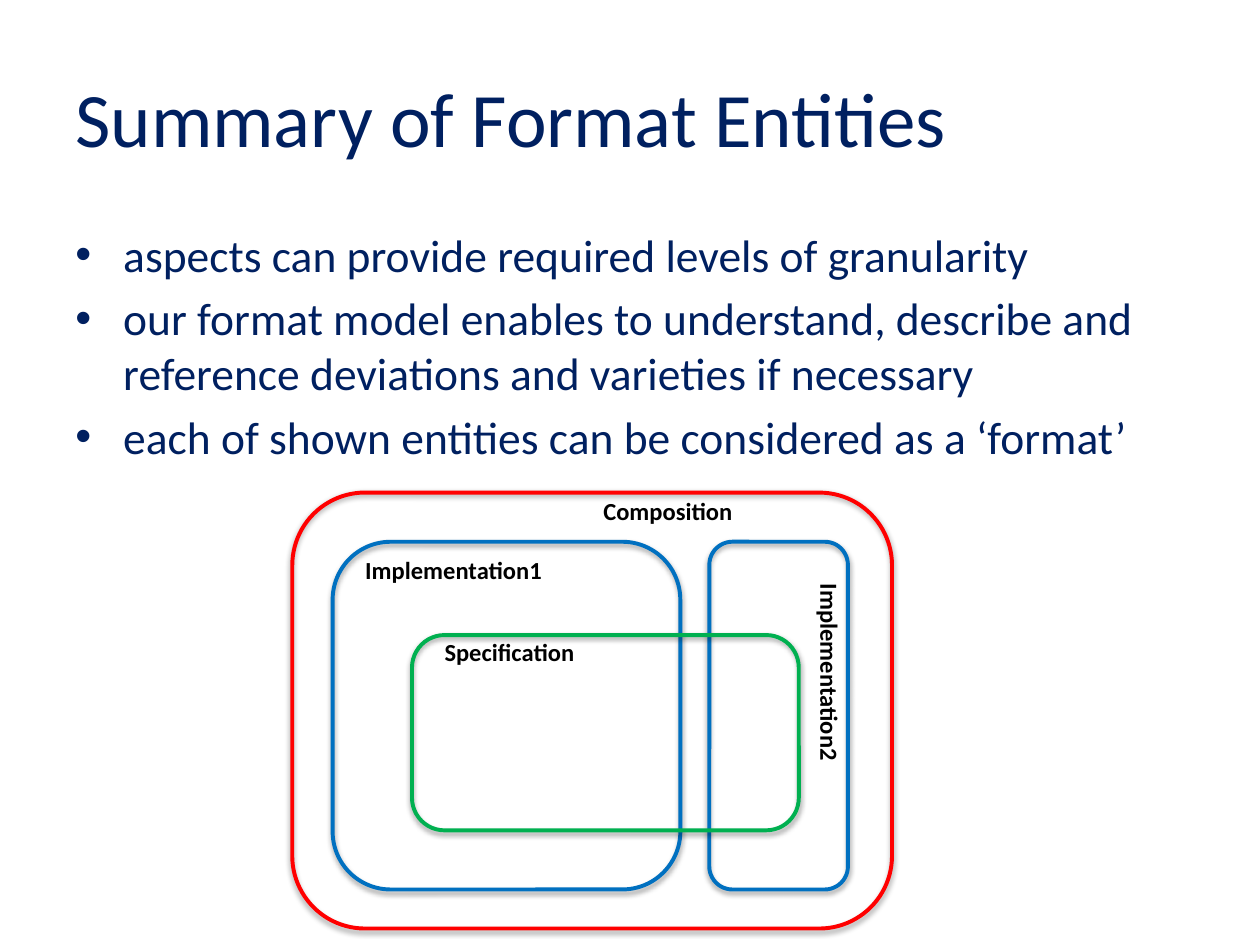
from lxml import etree
from pptx import Presentation
from pptx.dml.color import RGBColor
from pptx.enum.shapes import MSO_SHAPE
from pptx.enum.text import MSO_ANCHOR, MSO_AUTO_SIZE
from pptx.oxml.ns import qn
from pptx.util import Inches, Pt

ROUNDED = MSO_SHAPE.ROUNDED_RECTANGLE
TOP, MIDDLE = MSO_ANCHOR.TOP, MSO_ANCHOR.MIDDLE
GROW, FIXED = MSO_AUTO_SIZE.SHAPE_TO_FIT_TEXT, MSO_AUTO_SIZE.NONE

NAVY = RGBColor(0x00, 0x20, 0x60)
RED = RGBColor(0xFF, 0x00, 0x00)
BLUE = RGBColor(0x00, 0x70, 0xC0)
GREEN = RGBColor(0x00, 0xB0, 0x50)
BLACK = RGBColor(0x00, 0x00, 0x00)

FONT = "Calibri"
BULLET_SIZE = 26
BULLET_INDENT = Inches(0.38)

TITLE = "Summary of Format Entities"
BULLETS = [
    "aspects can provide required levels of granularity",
    "our format model enables to understand, describe and reference "
    "deviations and varieties if necessary",
    "each of shown entities can be considered as a ‘format’",
]

# Left, top, width and height are relative to the diagram's box.
ENTITY_FRAMES = [
    (0, 0, 4.76, 3.46, RED),
    (3.31, 0.39, 1.1, 2.76, BLUE),
    (0.32, 0.39, 2.76, 2.76, BLUE),
    (0.95, 1.13, 3.07, 1.55, GREEN),
]
# Left, top, width and rotation, relative to the same box.
ENTITY_LABELS = [
    ("Specification", 1.11, 1.1, 1.26, 0),
    ("Implementation1", 0.48, 0.45, 1.65, 0),
    ("Implementation2", 3.36, 1.36, 1.81, 90),
    ("Composition", 2.37, -0.02, 1.26, 0),
]


def add_text(page, lines, left, top, width, height, *, size, color,
             bold=False, anchor=TOP, fit=FIXED):
    box = page.shapes.add_textbox(left, top, width, height)
    frame = box.text_frame
    frame.word_wrap = True
    frame.auto_size = fit
    frame.vertical_anchor = anchor
    for index, line in enumerate(lines):
        para = frame.add_paragraph() if index else frame.paragraphs[0]
        span = para.add_run()
        span.text = line
        span.font.name = FONT
        span.font.size = Pt(size)
        span.font.bold = bold
        span.font.color.rgb = color
    return box


def add_bullet(para):
    para.space_before = Pt(BULLET_SIZE * 0.2)
    properties = para._p.get_or_add_pPr()
    properties.set("marL", str(BULLET_INDENT))
    properties.set("indent", str(-BULLET_INDENT))
    etree.SubElement(properties, qn("a:buFont"), typeface="Arial")
    etree.SubElement(properties, qn("a:buChar"), char="•")


def add_soft_shadow(shape):
    shape.shadow.inherit = False
    effects = shape._element.spPr.find(qn("a:effectLst"))
    shadow = etree.SubElement(
        effects, qn("a:outerShdw"), blurRad=str(Pt(3.1)), dist=str(Pt(1.6)),
        dir="5400000", rotWithShape="0")
    color = etree.SubElement(shadow, qn("a:srgbClr"), val=str(BLACK))
    etree.SubElement(color, qn("a:alpha"), val="38000")


def add_title(page, left, top, width, height):
    add_text(page, [TITLE], left, top, width, height,
             size=44, color=NAVY, anchor=MIDDLE)


def add_bullets(page, left, top, width, height):
    box = add_text(page, BULLETS, left, top, width, height,
                   size=BULLET_SIZE, color=NAVY)
    for para in box.text_frame.paragraphs:
        add_bullet(para)


def add_entity_diagram(page, left, top):
    for x, y, width, height, color in ENTITY_FRAMES:
        frame = page.shapes.add_shape(
            ROUNDED, left + Inches(x), top + Inches(y),
            Inches(width), Inches(height))
        frame.fill.background()
        frame.line.color.rgb = color
        frame.line.width = Pt(2.25)
        add_soft_shadow(frame)
    for text, x, y, width, rotation in ENTITY_LABELS:
        label = add_text(
            page, [text], left + Inches(x), top + Inches(y),
            Inches(width), Inches(0.34),
            size=14, color=BLACK, bold=True, fit=GROW)
        label.rotation = rotation


def main():
    deck = Presentation()
    deck.slide_width, deck.slide_height = Inches(10), Inches(7.5)
    page = deck.slides.add_slide(deck.slide_layouts[6])
    add_title(page, Inches(0.5), Inches(0.3), Inches(9), Inches(1.25))
    add_bullets(page, Inches(0.5), Inches(1.75), Inches(9), Inches(4.95))
    add_entity_diagram(page, Inches(2.32), Inches(3.91))
    deck.save("out.pptx")


if __name__ == "__main__":
    main()
